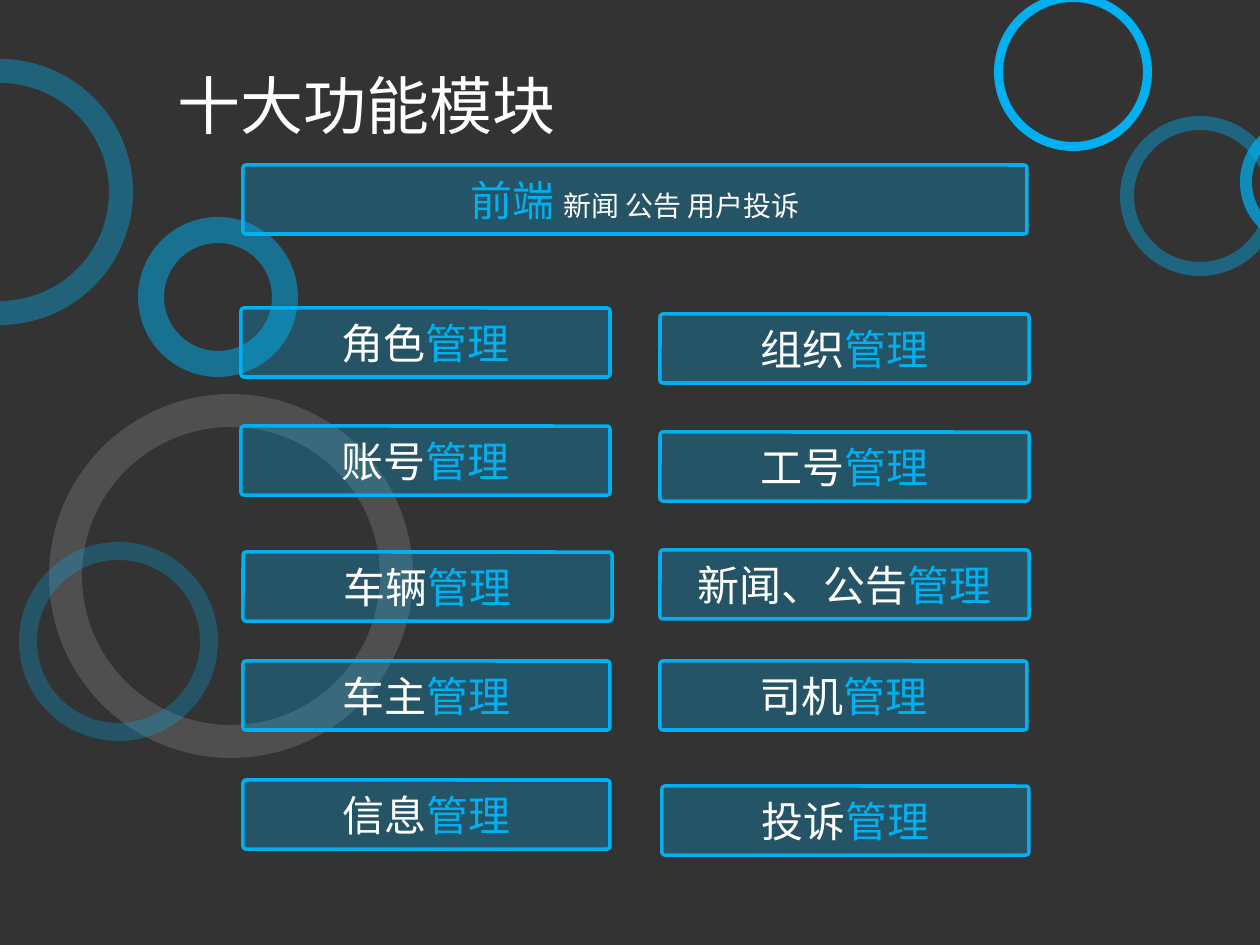
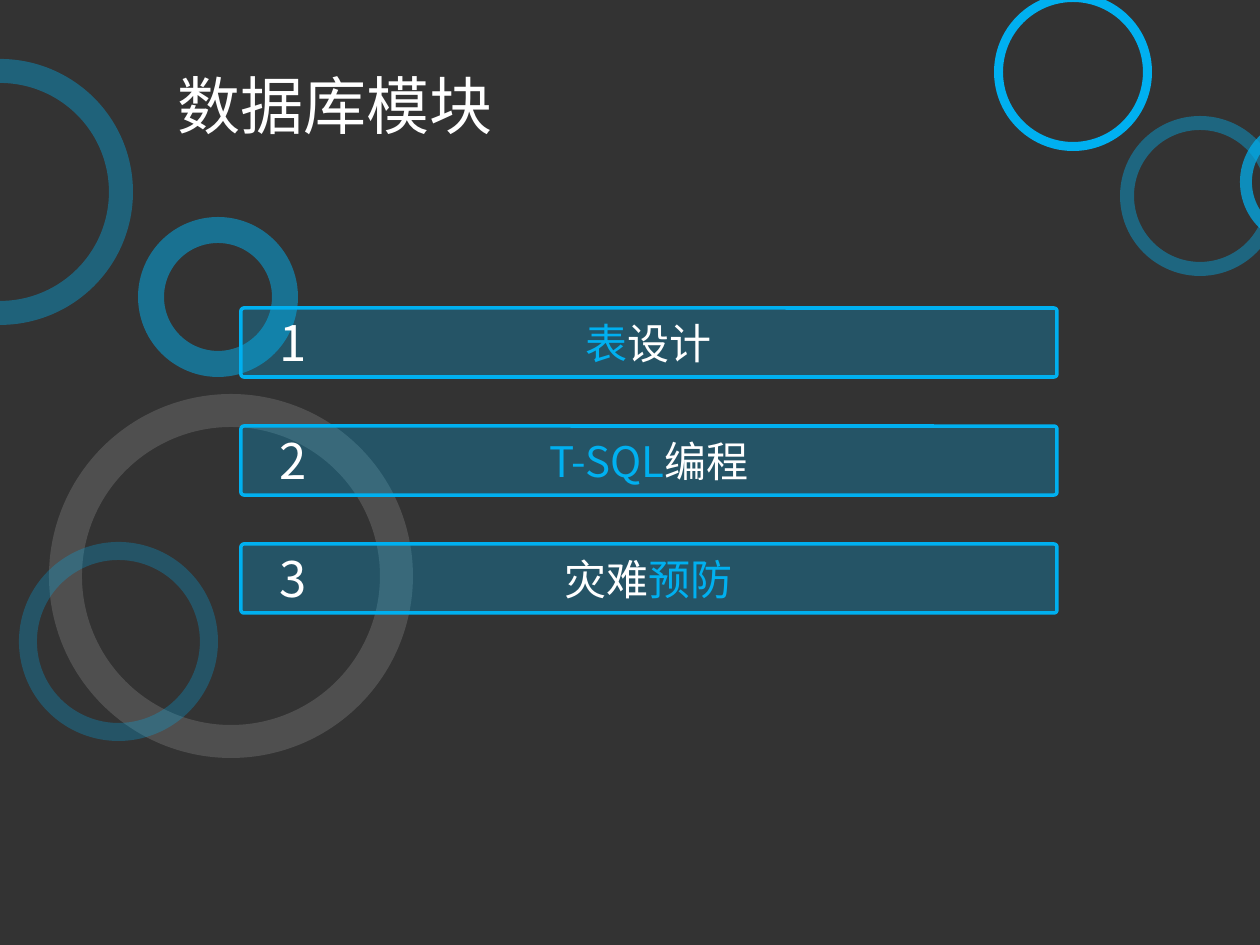
from lxml import etree
from pptx import Presentation
from pptx import util as u
from pptx.dml import color
from pptx.enum import shapes, text
from pptx.oxml import ns

SCALE = 914400 / 126
INK = {"back": "333333", "white": "FFFFFF", "blue": "00B0F0"}
SANS, DIGIT = "Noto Sans CJK SC", "Noto Sans CJK JP"
BAR = 69
RINGS = [
    (49, 394, 364, 33, "white", 14),
    (-133, 59, 266, 24, "blue", 38),
    (19, 542, 199, 18, "blue", 27),
    (138, 217, 160, 26, "blue", 50),
    (1120, 116, 160, 14, "blue", 41),
    (994, -7, 158, 9, "blue", 100),
    (1240, 118, 128, 12, "blue", 72),
]
DUTIES = [
    ("角色", 241, 308, 369), ("账号", 241, 426, 369), ("车辆", 243, 552, 369),
    ("车主", 243, 661, 367), ("信息", 243, 780, 367),
    ("组织", 660, 314, 369), ("工号", 660, 432, 369), ("新闻、公告", 660, 550, 369),
    ("司机", 660, 661, 367), ("投诉", 662, 786, 367),
]
STEPS = [
    [("表", "blue"), ("设计", "white")],
    [("T-SQL", "blue"), ("编程", "white")],
    [("灾难", "white"), ("预防", "blue")],
]


def px(*nums):
    """Turn px lengths into EMU."""
    return [u.Emu(round(n * SCALE)) for n in nums]


def rgb(name):
    """Look up a named colour."""
    return color.RGBColor.from_string(INK[name])


def tint(shape, name, alpha):
    """Fill a shape with a colour at a given opacity in percent."""
    shape.shadow.inherit = False
    shape.fill.solid()
    shape.fill.fore_color.rgb = rgb(name)
    if alpha < 100:
        node = shape.fill._xPr.find(".//" + ns.qn("a:srgbClr"))
        etree.SubElement(node, ns.qn("a:alpha"), val=str(alpha * 1000))


def face(para, size, name=SANS):
    """Set size and both Latin and East Asian fonts of a paragraph."""
    para.font.size = u.Pt(size)
    para.font.name = name
    base = para._p.pPr.find(ns.qn("a:defRPr"))
    etree.SubElement(base, ns.qn("a:ea"), typeface=name)


def ring(slide, x, y, size, thick, name, alpha):
    """Draw one ring."""
    shape = slide.shapes.add_shape(shapes.MSO_SHAPE.DONUT, *px(x, y, size, size))
    shape.adjustments[0] = thick / size
    tint(shape, name, alpha)
    shape.line.fill.background()


def bar(slide, x, y, wide, runs):
    """Draw a glassy bar with centred coloured runs."""
    kind = shapes.MSO_SHAPE.ROUNDED_RECTANGLE
    shape = slide.shapes.add_shape(kind, *px(x, y, wide, BAR))
    shape.adjustments[0] = 0.043
    tint(shape, "blue", 27)
    shape.line.color.rgb = rgb("blue")
    shape.line.width = u.Pt(2)
    para = shape.text_frame.paragraphs[0]
    para.alignment = text.PP_ALIGN.CENTER
    face(para, 24)
    for words, name, *size in runs:
        run = para.add_run()
        run.text = words
        run.font.color.rgb = rgb(name)
        if size:
            run.font.size = u.Pt(size[0])


def label(slide, box, words, size, name=SANS):
    """Place one white line of text."""
    frame = slide.shapes.add_textbox(*px(*box)).text_frame
    frame.word_wrap = False
    frame.auto_size = text.MSO_AUTO_SIZE.SHAPE_TO_FIT_TEXT
    para = frame.paragraphs[0]
    para.text = words
    face(para, size, name)
    para.font.color.rgb = rgb("white")


def page(deck, title, wide):
    """Add a dark slide with its rings and title."""
    slide = deck.slides.add_slide(deck.slide_layouts[6])
    fill = slide.background.fill
    fill.solid()
    fill.fore_color.rgb = rgb("back")
    for item in RINGS:
        ring(slide, *item)
    label(slide, (165, 60, wide, 88), title, 36)
    return slide


def modules(deck):
    """Build the slide of function modules."""
    slide = page(deck, "十大功能模块", 403)
    bar(slide, 243, 165, 784, [("前端 ", "blue"), ("新闻 公告 用户投诉", "white", 16)])
    for duty, x, y, wide in DUTIES:
        bar(slide, x, y, wide, [(duty, "white"), ("管理", "blue")])


def database(deck):
    """Build the slide of numbered database topics."""
    slide = page(deck, "数据库模块", 340)
    for i, runs in enumerate(STEPS):
        y = 308 + 118 * i
        bar(slide, 241, y, 816, runs)
        label(slide, (267, y - 2, 53, 72), str(i + 1), 28, DIGIT)


def main():
    """Build and save the deck."""
    deck = Presentation()
    deck.slide_width, deck.slide_height = px(1260, 945)
    modules(deck)
    database(deck)
    deck.save("out.pptx")


if __name__ == "__main__":
    main()
